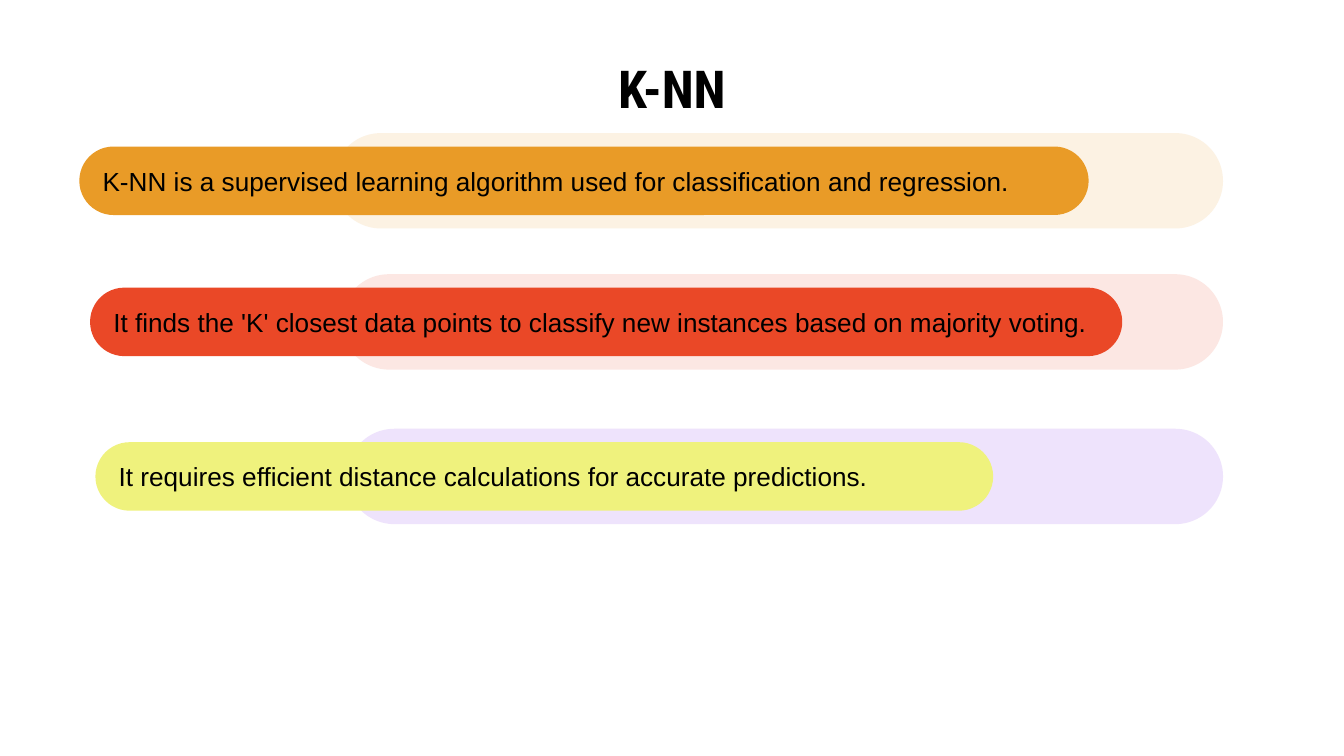
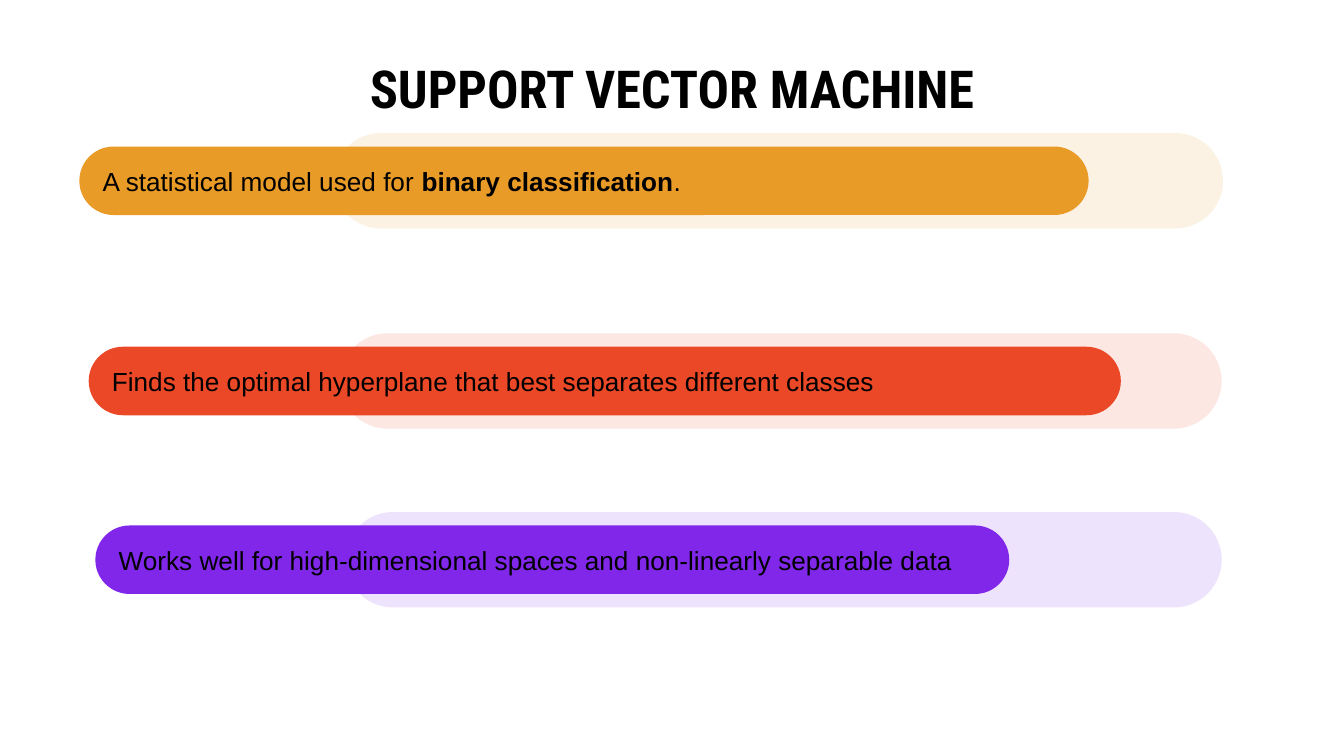
"""Builds two slides of layered pill-shaped statements about classifiers."""
from collections import namedtuple

from lxml import etree
from pptx import Presentation
from pptx.dml.color import RGBColor
from pptx.enum.shapes import MSO_SHAPE
from pptx.enum.text import MSO_ANCHOR, PP_ALIGN
from pptx.oxml.ns import qn
from pptx.util import Inches, Pt

PILL = MSO_SHAPE.ROUNDED_RECTANGLE
MIDDLE = MSO_ANCHOR.MIDDLE
LEFT, CENTER = PP_ALIGN.LEFT, PP_ALIGN.CENTER

BLACK = RGBColor(0x00, 0x00, 0x00)
WHITE = RGBColor(0xFF, 0xFF, 0xFF)
ORANGE = RGBColor(0xE9, 0x9B, 0x27)
RED = RGBColor(0xEA, 0x48, 0x27)
PURPLE = RGBColor(0x80, 0x27, 0xEA)
YELLOW = RGBColor(0xEF, 0xF2, 0x7D)

TITLE_FONT, BODY_FONT = "Roboto Condensed", "Arial"
BAND_H, BAR_H = 0.71, 0.51
BAND_ALPHA = 13
INSET = Inches(0.1)

Row = namedtuple("Row", "band_x band_right band_y bar_x bar_w band_color bar_color runs")

SLIDES = [
    ("K-NN", [
        Row(2.48, 9.1, 0.99, 0.59, 7.51, ORANGE, ORANGE,
            [("K-NN is a supervised learning algorithm used for classification and regression.", False)]),
        Row(2.58, 9.1, 3.19, 0.71, 6.68, PURPLE, YELLOW,
            [("It requires efficient distance calculations for accurate predictions.", False)]),
        Row(2.54, 9.1, 2.04, 0.67, 7.68, RED, RED,
            [("It finds the 'K' closest data points to classify new instances based on majority voting.", False)]),
    ]),
    ("SUPPORT VECTOR MACHINE", [
        Row(2.48, 9.1, 0.99, 0.59, 7.51, ORANGE, ORANGE,
            [("A statistical model used for ", False), ("binary classification", True), (".", False)]),
        Row(2.57, 9.09, 3.81, 0.71, 6.8, PURPLE, PURPLE,
            [("Works well for high-dimensional spaces and non-linearly separable data", False)]),
        Row(2.53, 9.09, 2.48, 0.66, 7.68, RED, RED,
            [("Finds the optimal hyperplane that best separates different classes", False)]),
    ]),
]


def write(sp, runs, font, size, align):
    tf = sp.text_frame
    tf.word_wrap = True
    tf.vertical_anchor = MIDDLE
    tf.margin_left = tf.margin_right = tf.margin_top = tf.margin_bottom = INSET
    p = tf.paragraphs[0]
    p.alignment = align
    for text, bold in runs:
        r = p.add_run()
        r.text = text
        r.font.name = font
        r.font.size = Pt(size)
        r.font.bold = bold
        r.font.color.rgb = BLACK


def add_pill(group, x, y, w, h, color):
    sp = group.shapes.add_shape(PILL, Inches(x), Inches(y), Inches(w), Inches(h))
    sp.adjustments[0] = 0.5
    sp.shadow.inherit = False
    sp.fill.solid()
    sp.fill.fore_color.rgb = color
    sp.line.fill.background()
    return sp


def set_alpha(sp, percent):
    clr = sp.element.spPr.find(qn("a:solidFill")).find(qn("a:srgbClr"))
    etree.SubElement(clr, qn("a:alpha")).set("val", str(percent * 1000))


def add_row(s, row):
    group = s.shapes.add_group_shape()
    band = add_pill(group, row.band_x, row.band_y, row.band_right - row.band_x, BAND_H, row.band_color)
    set_alpha(band, BAND_ALPHA)
    bar_y = row.band_y + (BAND_H - BAR_H) / 2
    bar = add_pill(group, row.bar_x, bar_y, row.bar_w, BAR_H, row.bar_color)
    write(bar, row.runs, BODY_FONT, 14, LEFT)


def add_slide(prs, title, rows):
    s = prs.slides.add_slide(prs.slide_layouts[6])
    s.background.fill.solid()
    s.background.fill.fore_color.rgb = WHITE
    box = s.shapes.add_textbox(Inches(0.5), Inches(0.45), Inches(9), Inches(0.41))
    write(box, [(title, True)], TITLE_FONT, 28, CENTER)
    for row in rows:
        add_row(s, row)


def main():
    prs = Presentation()
    prs.slide_width = Inches(10)
    prs.slide_height = Inches(10 * 9 / 16)
    for title, rows in SLIDES:
        add_slide(prs, title, rows)
    prs.save("out.pptx")


if __name__ == "__main__":
    main()
